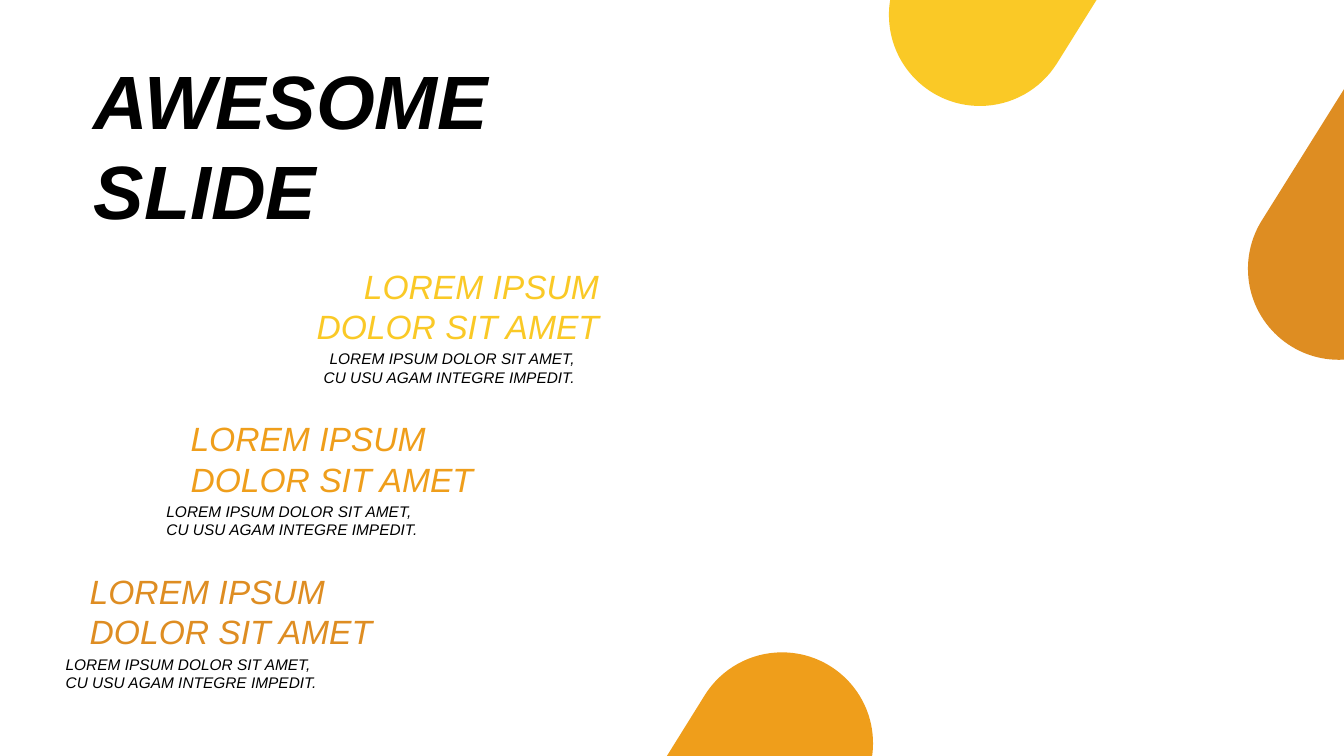
from math import cos, radians, sin, tan

from lxml import etree
from pptx import Presentation
from pptx.dml.color import RGBColor
from pptx.enum.text import MSO_ANCHOR as Anchor, MSO_AUTO_SIZE as AutoSize, PP_ALIGN as Align
from pptx.oxml.ns import qn
from pptx.util import Pt

COLORS = {
    "black": "000000",
    "yellow": "FAC926",
    "amber": "EF9E1B",
    "ochre": "DE8D22",
}
HEADING = ["LOREM IPSUM", "DOLOR SIT AMET"]
CAPTION = ["LOREM IPSUM DOLOR SIT AMET,", "CU USU AGAM INTEGRE IMPEDIT."]


def write_text(frame, lines, size, color="black", bold=False, align=Align.LEFT):
    frame.word_wrap = True
    frame.auto_size = AutoSize.NONE
    frame.vertical_anchor = Anchor.MIDDLE
    frame.text = "\n".join(lines)
    for paragraph in frame.paragraphs:
        paragraph.alignment = align
        paragraph.line_spacing = Pt(1.195 * size)
        paragraph.space_before = Pt(0)
        font = paragraph.runs[0].font
        font.name = "Arial"
        font.size = Pt(size)
        font.bold = bold
        font.italic = True
        font.color.rgb = RGBColor.from_string(COLORS[color])


def bend_lines(shape, angles, radius):
    """Turn the first lines of an outline into arcs between the given angles."""
    path = shape._element.find(".//" + qn("a:path"))
    nodes = list(path)
    ends = [(int(node[0].get("x")), int(node[0].get("y"))) for node in nodes[:len(angles)]]
    for i, (first, last) in enumerate(zip(angles, angles[1:])):
        reach = Pt(radius) * 4 / 3 * tan(radians(last - first) / 4)
        (x1, y1), (x2, y2) = ends[i:i + 2]
        a, b = radians(first), radians(last)
        curve = etree.Element(qn("a:cubicBezTo"))
        for x, y in [(x1 - reach * sin(a), y1 + reach * cos(a)),
                     (x2 + reach * sin(b), y2 - reach * cos(b)),
                     (x2, y2)]:
            etree.SubElement(curve, qn("a:pt"), x=str(round(x)), y=str(round(y)))
        path.replace(nodes[i + 1], curve)


class SlideBuilder:
    pill_radius = 65
    heading_size = 24
    caption_size = 11
    text_width = 234

    def __init__(self, slide):
        self.slide = slide

    def title(self, lines, left, top, width, height):
        shape = self.slide.shapes.title
        shape.left, shape.top, shape.width, shape.height = map(Pt, (left, top, width, height))
        write_text(shape.text_frame, lines, 54, bold=True)

    def pill_end(self, center_x, center_y, angles, corner, color):
        """Round end of a pill: arcs through angles in degrees, closed at an edge point."""
        radius = self.pill_radius
        points = [(center_x + radius * cos(radians(angle)), center_y + radius * sin(radians(angle)))
                  for angle in angles]
        outline = [(Pt(x), Pt(y)) for x, y in points + [corner]]
        builder = self.slide.shapes.build_freeform(*outline[0], scale=1.0)
        builder.add_line_segments(outline[1:], close=True)
        shape = builder.convert_to_shape()
        bend_lines(shape, angles, radius)
        shape.shadow.inherit = False
        shape.fill.solid()
        shape.fill.fore_color.rgb = RGBColor.from_string(COLORS[color])
        shape.line.fill.background()

    def text_block(self, left, top, color, align):
        """Colored heading with its caption set below and to the left."""
        group = self.slide.shapes.add_group_shape()
        caption = group.shapes.add_textbox(
            Pt(left - 17.2), Pt(top + 60), Pt(self.text_width), Pt(34))
        write_text(caption.text_frame, CAPTION, self.caption_size, align=align)
        heading = group.shapes.add_textbox(
            Pt(left), Pt(top), Pt(self.text_width), Pt(65.4))
        write_text(heading.text_frame, HEADING, self.heading_size, color=color, align=align)


def main():
    presentation = Presentation()
    presentation.slide_width, presentation.slide_height = Pt(960), Pt(540)
    builder = SlideBuilder(presentation.slides.add_slide(presentation.slide_layouts[5]))

    # Pill ends running off the slide edges
    builder.pill_end(700, 10.7, [32, 90, 180, 189.5], (783.3, 0), "yellow")
    builder.pill_end(956.4, 192, [212, 180, 90, 86.8], (960, 63.7), "ochre")
    builder.pill_end(558.6, 531, [212, 270, 360, 368], (476.4, 540), "amber")

    # Title
    builder.title(["AWESOME", "SLIDE"], 59.8, 34, 373.7, 138.2)

    # Text blocks stepping down to the left
    blocks = [("yellow", Align.RIGHT), ("amber", Align.LEFT), ("ochre", Align.LEFT)]
    for row, (color, align) in enumerate(blocks):
        builder.text_block(201 - 72 * row, 185.9 + 109 * row, color, align)

    presentation.save("out.pptx")


if __name__ == "__main__":
    main()
